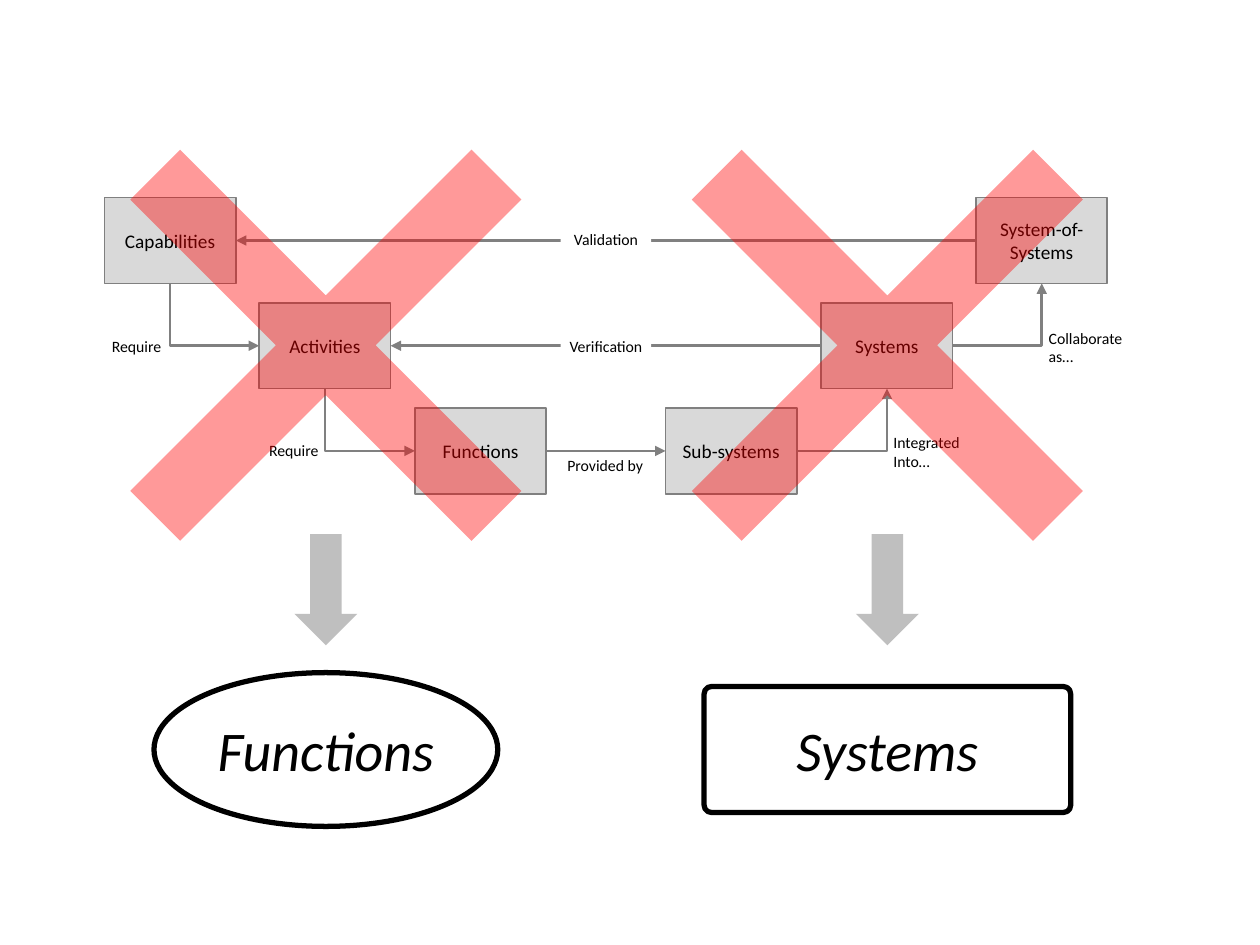
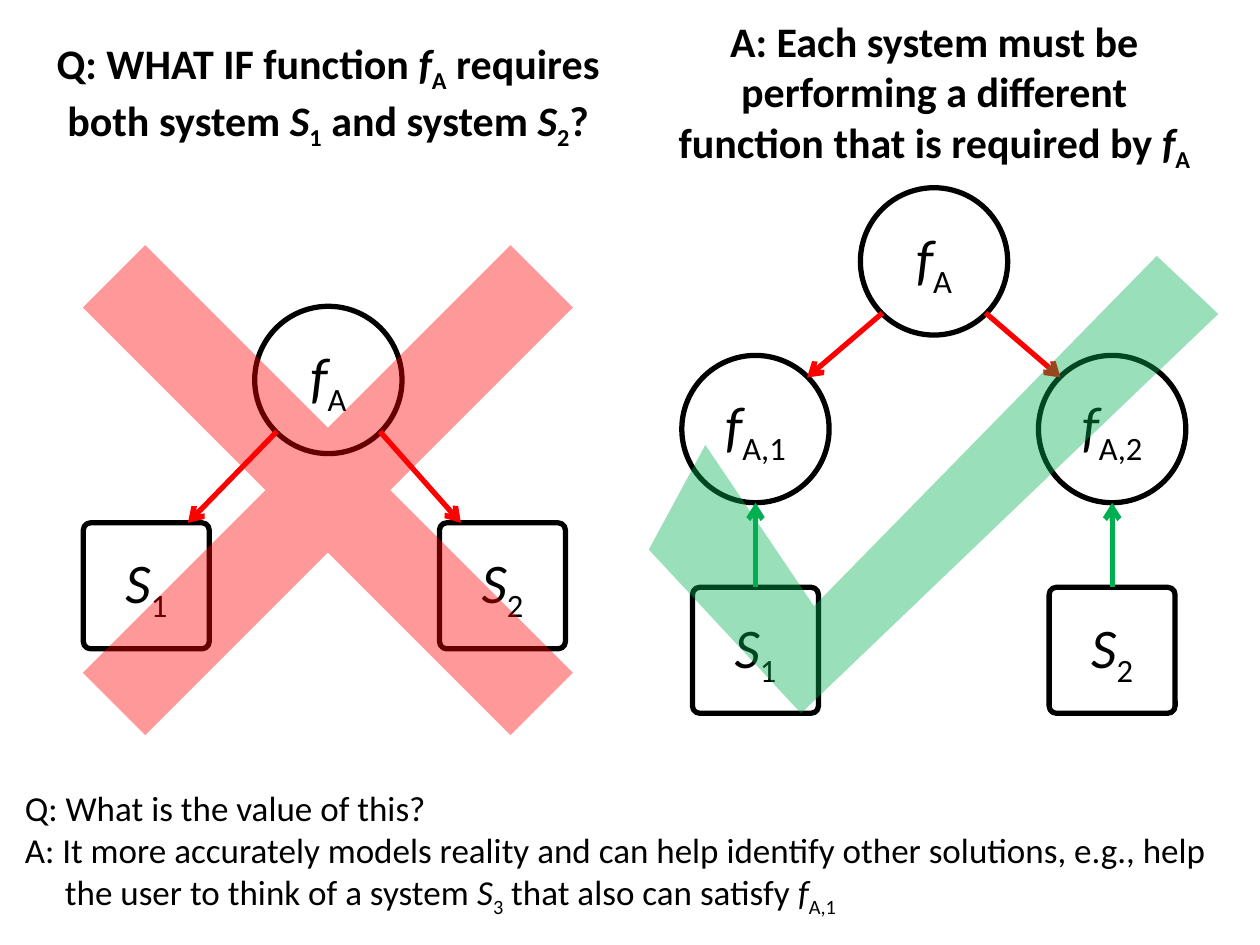
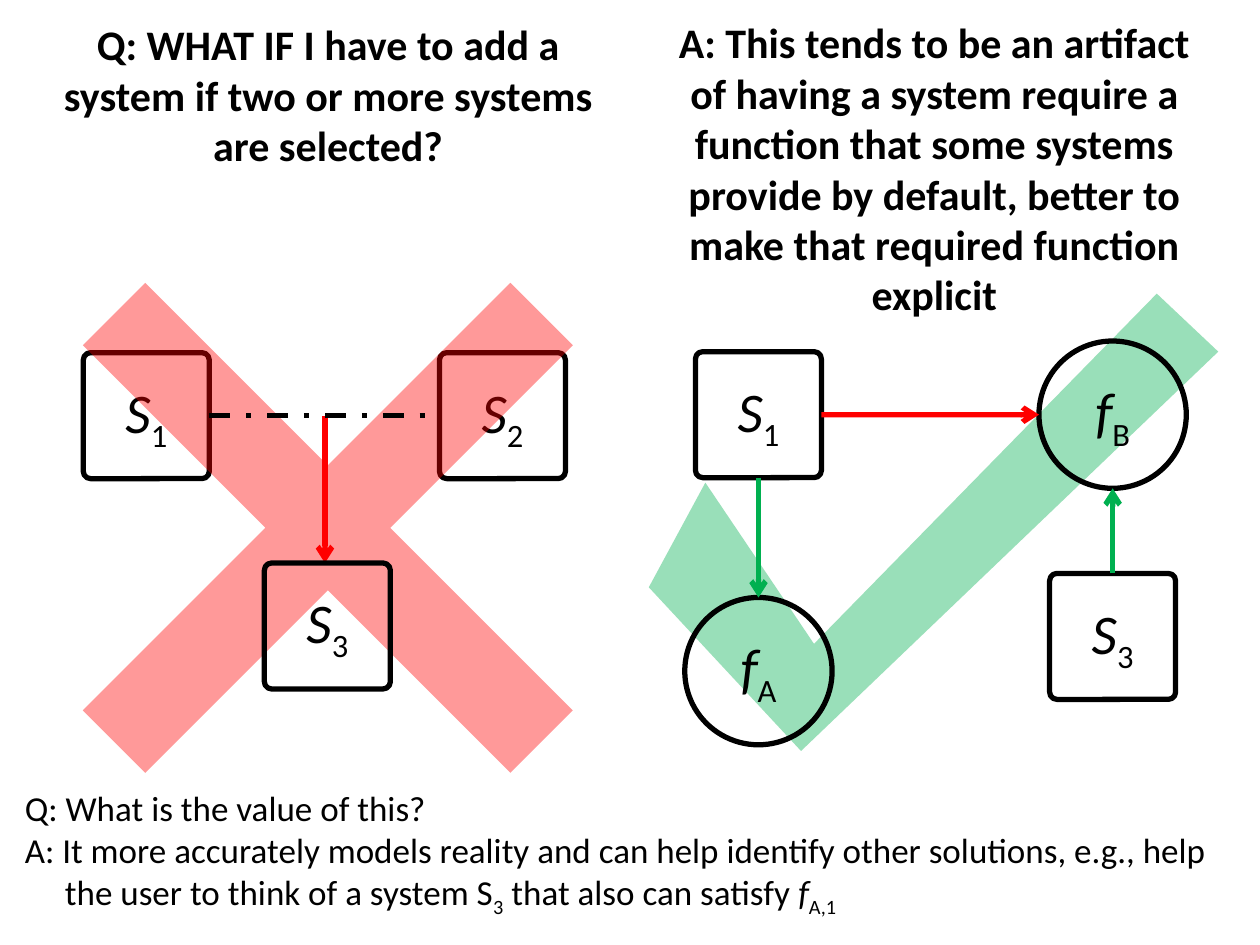
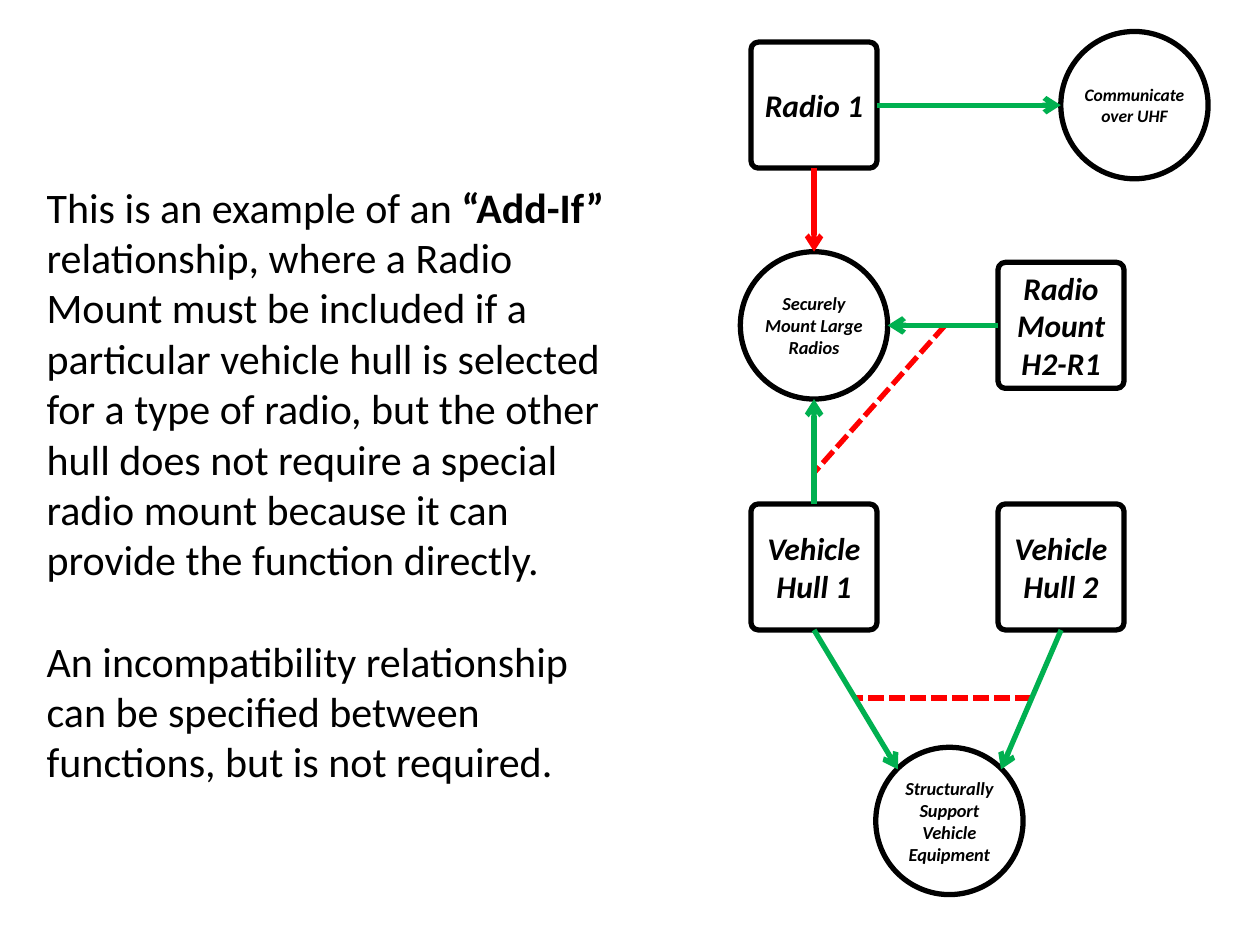
from lxml import etree
from pptx import Presentation
from pptx.dml.color import RGBColor
from pptx.enum.dml import MSO_LINE
from pptx.enum.shapes import MSO_CONNECTOR, MSO_SHAPE
from pptx.enum.text import MSO_ANCHOR, MSO_AUTO_SIZE, PP_ALIGN
from pptx.oxml.ns import qn
from pptx.util import Cm, Pt

LEFT, CENTER, RIGHT = PP_ALIGN.LEFT, PP_ALIGN.CENTER, PP_ALIGN.RIGHT
MIDDLE, BOTTOM = MSO_ANCHOR.MIDDLE, MSO_ANCHOR.BOTTOM
RECT, ROUNDED, ELLIPSE = MSO_SHAPE.RECTANGLE, MSO_SHAPE.ROUNDED_RECTANGLE, MSO_SHAPE.OVAL
CROSS, DOWN_ARROW = MSO_SHAPE.CROSS, MSO_SHAPE.DOWN_ARROW
STRAIGHT, ELBOW = MSO_CONNECTOR.STRAIGHT, MSO_CONNECTOR.ELBOW
DASH_DOT, SHORT_DASH = MSO_LINE.DASH_DOT, MSO_LINE.SQUARE_DOT

FONT = "Calibri"
COLORS = {
    "text": "000000", "outline": "000000", "paper": "FFFFFF",
    "box": "D9D9D9", "flow": "808080", "arrow": "BFBFBF",
    "requires": "FF0000", "provides": "00B050",
}

# Shared geometry in centimetres; parts are placed by their centres
TITLE_ONLY, BLANK = 5, 6
SYSTEM_SIDE, FUNCTION_SIDE = 2.54, 2.97
CORNER, CROSS_ARM = 0.058, 0.427
CHECK_OUTLINE = [(0, 5.92), (3.07, 9.22), (11.48, 1.17),
                 (10.24, 0), (3.33, 7.06), (1.14, 3.81)]
QUESTION_AREA = (0.76, 1.27, 11.71, 1.27)
VALUE_AREA = (0.25, 15.67, 24.92, 2.97)
CROSS_X, CROSS_SIDE, CHECK_X = 6.61, 12.19, 13.08

# Points on a part, as fractions of its width and height
SIDES = {"top": 0, "left": 1, "bottom": 2, "right": 3}
ANCHORS = {
    "top": (0.5, 0), "left": (0, 0.5), "bottom": (0.5, 1), "right": (1, 0.5),
    "upper left": (0.15, 0.15), "upper right": (0.85, 0.15),
    "lower left": (0.15, 0.85), "lower right": (0.85, 0.85),
    "top near left": (0.17, 0), "top near right": (0.83, 0),
}

# Text marks: *italic*, ~bold~, _subscript_
MARKS = "*~_"

# Slide 1: the V of development steps and what it is reduced to
V_BOX = (2.65, 1.73)
V_STEPS = {
    "Capabilities": (3.43, 4.85), "Activities": (6.55, 6.97), "Functions": (9.69, 9.09),
    "Sub-systems": (14.74, 9.09), "Systems": (17.88, 6.97), "System-of-Systems": (21, 4.85),
}
V_STRAIGHT = [
    ("System-of-Systems", "left", "Capabilities", "right"),
    ("Systems", "left", "Activities", "right"),
    ("Functions", "right", "Sub-systems", "left"),
]
V_BENT = [  # the last value tells whether the arrowhead is at the start
    ("Sub-systems", "right", "Systems", "bottom", False),
    ("Systems", "right", "System-of-Systems", "bottom", False),
    ("Functions", "left", "Activities", "bottom", True),
    ("Activities", "left", "Capabilities", "bottom", True),
]
V_LABELS = [
    ("Validation", (11.3, 4.4, 1.83, 0.84), CENTER, "paper"),
    ("Verification", (11.3, 6.55, 1.83, 0.84), CENTER, "paper"),
    ("Collaborate as…", (21.01, 6.58, 2.18, 0.84), LEFT, None),
    ("Integrated\nInto…", (17.88, 8.69, 2.18, 0.84), LEFT, None),
    ("Provided by", (11.02, 9.09, 2.36, 0.58), CENTER, None),
    ("Require", (4.19, 8.79, 2.36, 0.58), RIGHT, None),
    ("Require", (1.02, 6.68, 2.36, 0.58), RIGHT, None),
]
REDUCED = [("*Functions*", ELLIPSE, 6.57, (6.93, 3.1)),
           ("*Systems*", ROUNDED, 17.89, (7.39, 2.54))]

# Slides 2 and 3: the wrong model on the left, the right one on the right
VALUE = ("Q: What is the value of this?\n"
         "A: It more accurately models reality and can help identify other solutions, "
         "e.g., help the user to think of a system {} that also can satisfy *f*_A,1_")

SPLIT_QUESTION = ("~Q: WHAT IF function *f*_A_ requires both system *S*_1_ "
                  "and system *S*_2_?~")
SPLIT_ANSWER = ("~A: Each system must be performing a different function "
                "that is required by *f*_A_~")
SPLIT_WRONG = {
    "fA": ("*f*_A_", ELLIPSE, (6.62, 7.66)),
    "S1": ("*S*_1_", ROUNDED, (2.95, 11.81)),
    "S2": ("*S*_2_", ROUNDED, (10.13, 11.81)),
}
SPLIT_WRONG_LINKS = [
    ("fA", "lower left", "S1", "top near right", "requires"),
    ("fA", "lower right", "S2", "top near left", "requires"),
]
SPLIT_RIGHT = {
    "fA": ("*f*_A_", ELLIPSE, (18.83, 5.27)),
    "fA1": ("*f*_A,1_", ELLIPSE, (15.23, 8.65)),
    "fA2": ("*f*_A,2_", ELLIPSE, (22.42, 8.65)),
    "S1": ("*S*_1_", ROUNDED, (15.23, 13.11)),
    "S2": ("*S*_2_", ROUNDED, (22.42, 13.11)),
}
SPLIT_RIGHT_LINKS = [
    ("fA", "lower left", "fA1", "upper right", "requires"),
    ("fA", "lower right", "fA2", "upper left", "requires"),
    ("S1", "top", "fA1", "bottom", "provides"),
    ("S2", "top", "fA2", "bottom", "provides"),
]

ADDED_QUESTION = "~Q: WHAT IF I have to add a system if two or more systems are selected?~"
ADDED_ANSWER = ("~A: This tends to be an artifact of having a system require a function "
                "that some systems provide by default, better to make that required "
                "function explicit~")
SELECTED = {
    "S1": ("*S*_1_", ROUNDED, (2.95, 8.38)),
    "S2": ("*S*_2_", ROUNDED, (10.13, 8.38)),
}
ADDED = {"S3": ("*S*_3_", ROUNDED, (6.6, 12.62))}
ADDED_ARROW = ((6.55, 8.38), (6.55, 11.35))
EXPLICIT = {
    "S1": ("*S*_1_", ROUNDED, (15.29, 8.36)),
    "fB": ("*f*_B_", ELLIPSE, (22.43, 8.36)),
    "fA": ("*f*_A_", ELLIPSE, (15.29, 13.53)),
    "S3": ("*S*_3_", ROUNDED, (22.43, 12.83)),
}
EXPLICIT_LINKS = [
    ("S1", "right", "fB", "left", "requires"),
    ("S1", "bottom", "fA", "top", "provides"),
    ("S3", "top", "fB", "bottom", "provides"),
]

# Slide 4: radio example
EXAMPLE = ("This is an example of an ~“Add-If” ~relationship, where a Radio Mount must be "
           "included if a particular vehicle hull is selected for a type of radio, but the "
           "other hull does not require a special radio mount because it can provide the "
           "function directly.\n"
           "An incompatibility relationship can be specified between functions, "
           "but is not required.")
RADIO_SYSTEMS = {
    "radio": ("~*Radio 1*~", ROUNDED, (16.41, 2.12)),
    "mount": ("~*Radio Mount\nH2-R1*~", ROUNDED, (21.39, 6.56)),
    "hull 1": ("~*Vehicle Hull 1*~", ROUNDED, (16.41, 11.43)),
    "hull 2": ("~*Vehicle Hull 2*~", ROUNDED, (21.39, 11.43)),
}
UHF_FUNCTION = {"communicate": ("~*Communicate over UHF*~", ELLIPSE, (22.87, 2.12))}
MOUNT_FUNCTIONS = {
    "secure": ("~*Securely Mount Large Radios*~", ELLIPSE, (16.41, 6.56)),
    "support": ("~*Structurally Support Vehicle Equipment*~", ELLIPSE, (19.14, 16.55)),
}
RADIO_LINKS = [
    ("hull 1", "bottom", "support", "upper left", "provides"),
    ("hull 2", "bottom", "support", "upper right", "provides"),
    ("radio", "bottom", "secure", "top", "requires"),
    ("radio", "right", "communicate", "left", "provides"),
    ("mount", "left", "secure", "right", "provides"),
    ("hull 1", "top", "secure", "bottom", "provides"),
]
CONDITIONS = [((20.78, 14.07), (17.22, 14.07)), ((19.05, 6.56), (16.41, 9.53))]


def rgb(name):
    return RGBColor.from_string(COLORS[name])


# Text
def split_runs(markup):
    """Yield (text, marks) for each stretch of even style; line breaks stand alone."""
    marks, text = frozenset(), ""
    for char in markup:
        if char in MARKS or char == "\n":
            if text:
                yield text, marks
            text = ""
            if char == "\n":
                yield char, marks
            else:
                marks ^= {char}
        else:
            text += char
    if text:
        yield text, marks


def put_text(frame, markup, size, align=CENTER, anchor=MIDDLE, inset=None):
    frame.word_wrap = True
    frame.auto_size = MSO_AUTO_SIZE.NONE
    frame.vertical_anchor = anchor
    if inset is not None:
        frame.margin_left = frame.margin_right = Cm(inset)
        frame.margin_top = frame.margin_bottom = Cm(inset)
    paragraph = frame.paragraphs[0]
    for text, marks in split_runs(markup):
        if text == "\n":
            paragraph = frame.add_paragraph()
            continue
        run = paragraph.add_run()
        run.text = text
        font = run.font
        font.name, font.size = FONT, Pt(size)
        font.bold, font.italic = "~" in marks, "*" in marks
        font.color.rgb = rgb("text")
        if "_" in marks:
            run._r.get_or_add_rPr().set("baseline", "-25000")
    for paragraph in frame.paragraphs:
        paragraph.alignment = align


def add_text(slide, markup, area, size, **style):
    box = slide.shapes.add_textbox(*map(Cm, area))
    put_text(box.text_frame, markup, size, **style)
    return box


# Shapes
def paint(shape, fill=None, line=None, width=1, alpha=None):
    shape.shadow.inherit = False
    if fill:
        shape.fill.solid()
        shape.fill.fore_color.rgb = rgb(fill)
        if alpha:
            color = shape.fill._xPr.find(qn("a:solidFill"))[0]
            etree.SubElement(color, qn("a:alpha")).set("val", str(alpha * 1000))
    else:
        shape.fill.background()
    if line:
        shape.line.color.rgb = rgb(line)
        shape.line.width = Pt(width)
    else:
        shape.line.fill.background()


def add_centred(slide, kind, center, size, **look):
    (x, y), (width, height) = center, size
    shape = slide.shapes.add_shape(kind, Cm(x - width / 2), Cm(y - height / 2),
                                   Cm(width), Cm(height))
    if kind == ROUNDED:
        shape.adjustments[0] = CORNER
    paint(shape, **look)
    return shape


def add_nodes(slide, nodes, size=32, inset=None):
    shapes = {}
    for key, (markup, kind, center) in nodes.items():
        side = FUNCTION_SIDE if kind == ELLIPSE else SYSTEM_SIDE
        shapes[key] = add_centred(slide, kind, center, (side, side), line="outline", width=3)
        put_text(shapes[key].text_frame, markup, size, inset=inset)
    return shapes


def add_cross(slide, center, side):
    cross = add_centred(slide, CROSS, center, (side, side), fill="requires", alpha=40)
    cross.adjustments[0] = CROSS_ARM
    cross.rotation = 315


def add_check(slide, top):
    points = [(Cm(CHECK_X + x), Cm(top + y)) for x, y in CHECK_OUTLINE]
    builder = slide.shapes.build_freeform(*points[0])
    builder.add_line_segments(points[1:], close=True)
    paint(builder.convert_to_shape(), fill="provides", alpha=40)


# Lines
def add_line(slide, start, end, color, width=3, kind=STRAIGHT, dash=None):
    line = slide.shapes.add_connector(kind, *start, *end)
    line.line.color.rgb = rgb(color)
    line.line.width = Pt(width)
    if dash:
        line.line.dash_style = dash
    etree.SubElement(line._element.spPr, qn("a:effectLst"))
    return line


def add_head(line, kind="arrow", end="tailEnd"):
    etree.SubElement(line.line._get_or_add_ln(), qn(f"a:{end}")).set("type", kind)


def locate(shape, anchor):
    across, down = ANCHORS[anchor]
    return (int(shape.left + across * shape.width), int(shape.top + down * shape.height))


def link(slide, source, source_anchor, target, target_anchor, color, **look):
    line = add_line(slide, locate(source, source_anchor), locate(target, target_anchor),
                    color, **look)
    for shape, anchor, join in ((source, source_anchor, line.begin_connect),
                                (target, target_anchor, line.end_connect)):
        if anchor in SIDES and shape.auto_shape_type != ELLIPSE:
            join(shape, SIDES[anchor])
    return line


def add_links(slide, nodes, links):
    for source, source_anchor, target, target_anchor, color in links:
        add_head(link(slide, nodes[source], source_anchor,
                      nodes[target], target_anchor, color))


def in_cm(point):
    return tuple(map(Cm, point))


# Slides
def new_slide(deck, layout):
    return deck.slides.add_slide(deck.slide_layouts[layout])


def question_slide(deck, question, answer, answer_height, example):
    slide = new_slide(deck, TITLE_ONLY)
    title = slide.shapes.title
    title.left, title.top, title.width, title.height = map(Cm, QUESTION_AREA)
    put_text(title.text_frame, question, 24)
    add_text(slide, answer, (13.26, 1.27, 11.15, answer_height), 24)
    value = add_text(slide, VALUE.format(example), VALUE_AREA, 20, align=LEFT, anchor=BOTTOM)
    hanging = value.text_frame.paragraphs[1]._p.get_or_add_pPr()
    hanging.set("marL", str(Cm(0.81)))
    hanging.set("indent", str(-Cm(0.81)))
    return slide


def build_v_model(deck):
    slide = new_slide(deck, BLANK)
    steps = {}
    for name, center in V_STEPS.items():
        steps[name] = add_centred(slide, RECT, center, V_BOX, fill="box", line="flow")
        put_text(steps[name].text_frame, name, 11)
    for source, source_anchor, target, target_anchor in V_STRAIGHT:
        add_head(link(slide, steps[source], source_anchor, steps[target], target_anchor,
                      "flow", width=1.5), "triangle")
    for source, source_anchor, target, target_anchor, at_start in V_BENT:
        bend = link(slide, steps[source], source_anchor, steps[target], target_anchor,
                    "flow", width=1.5, kind=ELBOW)
        bend._element.spPr.find(qn("a:prstGeom")).set("prst", "bentConnector2")
        add_head(bend, "triangle", "headEnd" if at_start else "tailEnd")
    for text, area, align, fill in V_LABELS:
        label = add_text(slide, text, area, 9, align=align, inset=0.13)
        if fill:
            label.fill.solid()
            label.fill.fore_color.rgb = rgb(fill)
    for text, kind, x, size in REDUCED:
        add_cross(slide, (x, 6.96), 9.73)
        add_centred(slide, DOWN_ARROW, (x, 11.89), (1.27, 2.24), fill="arrow")
        result = add_centred(slide, kind, (x, 15.11), size, line="outline", width=3)
        put_text(result.text_frame, text, 32)


def build_split_function(deck):
    slide = question_slide(deck, SPLIT_QUESTION, SPLIT_ANSWER, 1.27, "*S*_3_")
    for nodes, links in ((SPLIT_WRONG, SPLIT_WRONG_LINKS), (SPLIT_RIGHT, SPLIT_RIGHT_LINKS)):
        add_links(slide, add_nodes(slide, nodes), links)
    add_cross(slide, (CROSS_X, 9.88), CROSS_SIDE)
    add_check(slide, 5.16)


def build_added_system(deck):
    slide = question_slide(deck, ADDED_QUESTION, ADDED_ANSWER, 4.24, "S_3_")
    add_check(slide, 5.92)
    add_links(slide, add_nodes(slide, EXPLICIT), EXPLICIT_LINKS)
    selected = add_nodes(slide, SELECTED)
    add_head(add_line(slide, *map(in_cm, ADDED_ARROW), "requires"))
    add_cross(slide, (CROSS_X, 10.64), CROSS_SIDE)
    add_nodes(slide, ADDED)
    link(slide, selected["S1"], "right", selected["S2"], "left", "outline", dash=DASH_DOT)


def build_radio_example(deck):
    slide = new_slide(deck, BLANK)
    example = add_text(slide, EXAMPLE, (0.69, 1.47, 11.79, 16.56), 24, align=LEFT)
    example.text_frame.paragraphs[1].space_before = Pt(29)
    for start, end in CONDITIONS:
        add_line(slide, in_cm(start), in_cm(end), "requires", dash=SHORT_DASH)
    nodes = {}
    for group, size in ((RADIO_SYSTEMS, 18), (UHF_FUNCTION, 10), (MOUNT_FUNCTIONS, 10.5)):
        nodes.update(add_nodes(slide, group, size, inset=0))
    add_links(slide, nodes, RADIO_LINKS)


def main():
    deck = Presentation()
    deck.slide_width, deck.slide_height = Cm(25.4), Cm(19.05)
    build_v_model(deck)
    build_split_function(deck)
    build_added_system(deck)
    build_radio_example(deck)
    deck.save("out.pptx")


if __name__ == "__main__":
    main()
